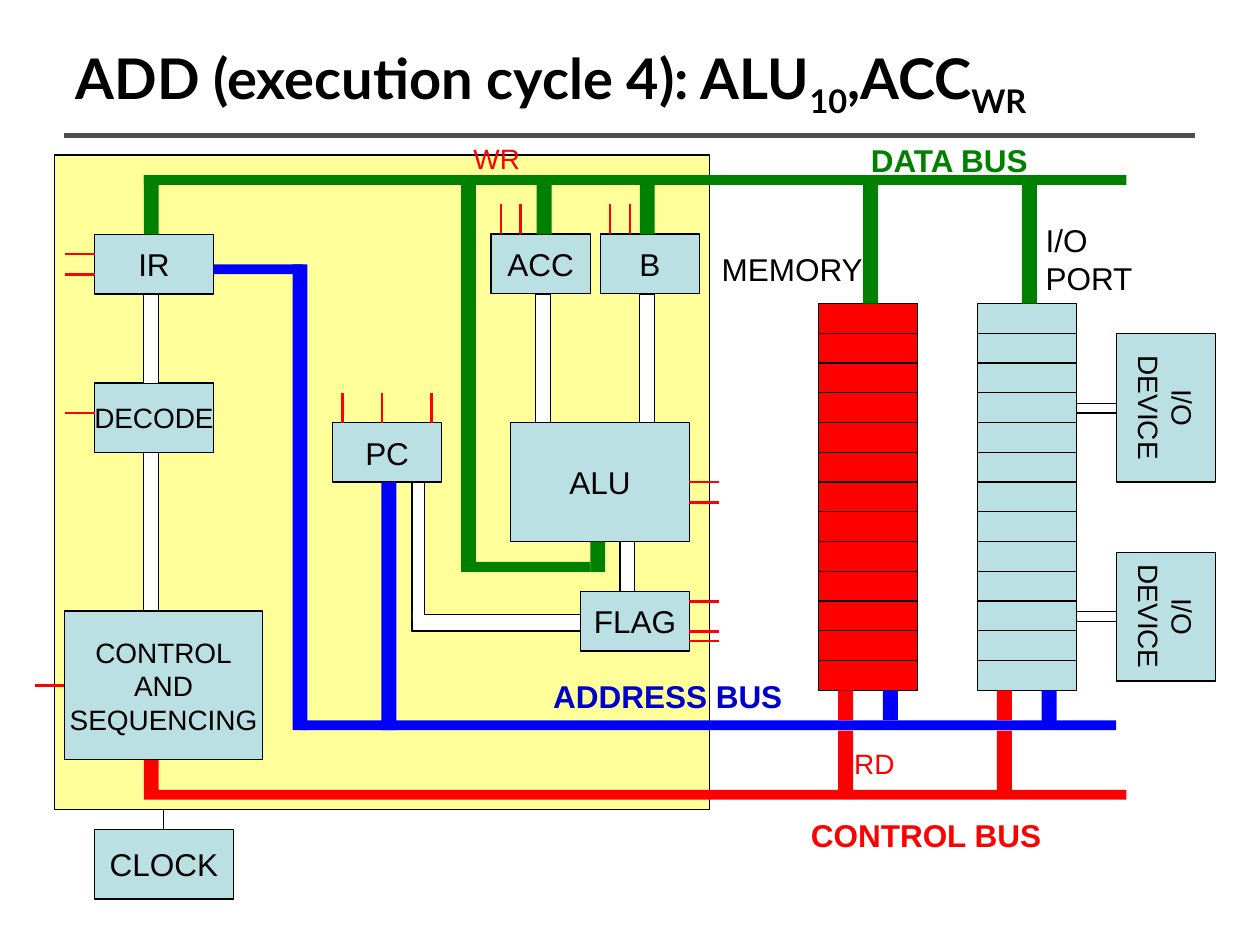
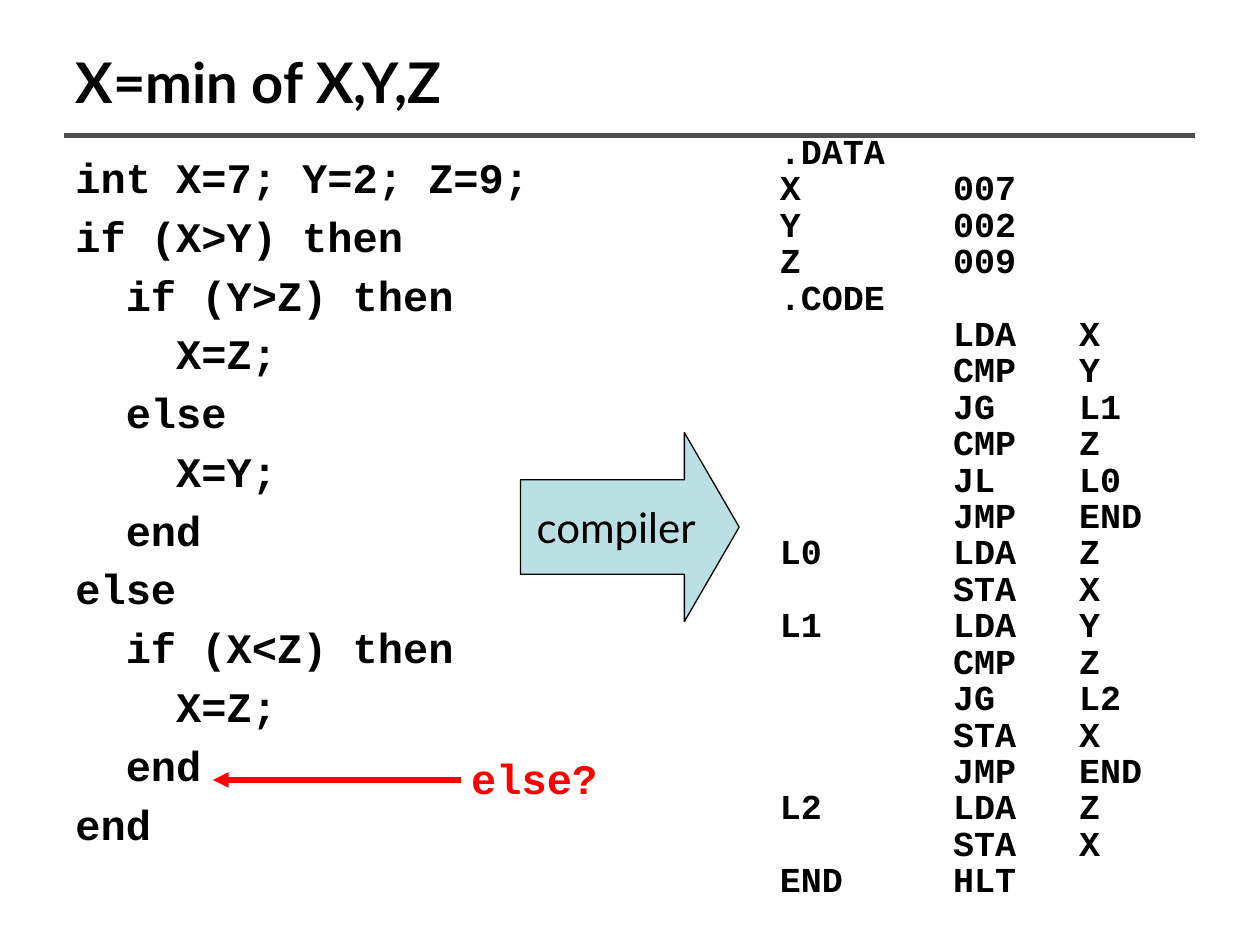
from lxml import etree
from pptx import Presentation
from pptx.dml.color import RGBColor
from pptx.enum import shapes, text
from pptx.oxml import ns
from pptx.util import Pt


class Theme:
    black = RGBColor(0x00, 0x00, 0x00)
    white = RGBColor(0xFF, 0xFF, 0xFF)
    rule = RGBColor(0x4D, 0x4D, 0x4D)
    panel = RGBColor(0xFF, 0xFF, 0x99)
    unit = RGBColor(0xBB, 0xE0, 0xE3)
    data = RGBColor(0x00, 0x80, 0x00)
    address = RGBColor(0x00, 0x00, 0xFF)
    address_label = RGBColor(0x00, 0x00, 0xCC)
    control = RGBColor(0xFF, 0x00, 0x00)
    heading_font, label_font, code_font = "Lato", "Arial", "Courier New"
    title_size, code_size, listing_size = 32, 24, 20
    label_size, small_size = 18, 16
    thin, pin, heavy = 0.75, 1.5, 3


RECT = shapes.MSO_SHAPE.RECTANGLE


def block(slide, box, fill, outline=None, label="", size=Theme.label_size,
          font=Theme.label_font, kind=RECT):
    shape = slide.shapes.add_shape(kind, *map(Pt, box))
    shape.shadow.inherit = False
    shape.fill.solid()
    shape.fill.fore_color.rgb = fill
    if outline is None:
        shape.line.fill.background()
    else:
        shape.line.color.rgb = outline
        shape.line.width = Pt(Theme.thin)
    if label:
        frame = shape.text_frame
        frame.text = label
        frame.word_wrap = False
        frame.vertical_anchor = text.MSO_ANCHOR.MIDDLE
        for paragraph in frame.paragraphs:
            paragraph.alignment = text.PP_ALIGN.CENTER
            paragraph.font.name = font
            paragraph.font.size = Pt(size)
            paragraph.font.color.rgb = Theme.black
    return shape


def stroke(slide, start, end, color, width):
    connector = slide.shapes.add_connector(
        shapes.MSO_CONNECTOR.STRAIGHT, *map(Pt, start + end))
    connector.line.color.rgb = color
    connector.line.width = Pt(width)
    etree.SubElement(connector._element.spPr, ns.qn("a:effectLst"))
    return connector


prs = Presentation()
prs.slide_width, prs.slide_height = Pt(720), Pt(540)

# Titles and rules; each title run is (wording, is subscript)
titles = [
    [("ADD (execution cycle 4): ALU", False), ("10", True),
     (",ACC", False), ("WR", True)],
    [("X=min of X,Y,Z", False)],
]
for title_runs in titles:
    slide = prs.slides.add_slide(prs.slide_layouts[5])
    stroke(slide, (36.8, 77.3), (683, 77.3), Theme.rule, Theme.heavy)
    title = slide.shapes.title
    title.left, title.top, title.width, title.height = map(Pt, (36, 21.6, 648, 49.7))
    frame = title.text_frame
    frame.auto_size = text.MSO_AUTO_SIZE.NONE
    frame.vertical_anchor = text.MSO_ANCHOR.MIDDLE
    heading = frame.paragraphs[0]
    heading.alignment = text.PP_ALIGN.LEFT
    heading.font.name = Theme.heading_font
    heading.font.size = Pt(Theme.title_size)
    heading.font.bold = True
    heading.font.color.rgb = Theme.black
    for wording, subscript in title_runs:
        run = heading.add_run()
        run.text = wording
        if subscript:
            run._r.get_or_add_rPr().set("baseline", "-25000")

cpu_slide, compiler_slide = prs.slides

# Slide 1: processor, memory and buses
block(cpu_slide, (31, 88.5, 374.5, 374.2), Theme.panel, Theme.black)

units = {}
for label, box, size in [
    ("IR", (54, 134, 68, 34), Theme.label_size),
    ("DECODE", (54, 218.8, 68, 39.7), Theme.small_size),
    ("CONTROL\nAND\nSEQUENCING", (36.8, 349.2, 113.4, 85), Theme.small_size),
    ("PC", (190, 241.5, 62.4, 34), Theme.label_size),
    ("ACC", (280.6, 133.8, 56.7, 34), Theme.label_size),
    ("B", (343.1, 133.8, 56.7, 34), Theme.label_size),
    ("ALU", (291.7, 241.5, 102.3, 68), Theme.label_size),
    ("FLAG", (331.7, 338, 62.3, 34), Theme.label_size),
    ("CLOCK", (54, 474, 79.3, 39.7), Theme.label_size),
]:
    units[label] = block(cpu_slide, box, Theme.unit, Theme.black, label, size)

for box in [(623.8, 204.6, 85, 56.7), (629.5, 324, 73.5, 56.7)]:
    device = block(cpu_slide, box, Theme.unit, Theme.black,
                   "I/O\nDEVICE", Theme.small_size)
    device.rotation = 90

# Memory and port columns, ruled into equal cells
CELLS, CELL, COLUMN_TOP, COLUMN_WIDTH = 13, 17, 173.5, 56.7
for left, fill in [(467.8, Theme.control), (558.5, Theme.unit)]:
    block(cpu_slide, (left, COLUMN_TOP, COLUMN_WIDTH, CELLS * CELL), fill, Theme.black)
    for cell in range(1, CELLS):
        y = COLUMN_TOP + cell * CELL
        stroke(cpu_slide, (left, y), (left + COLUMN_WIDTH, y), Theme.black, Theme.thin)

# Buses: uprights are (left, top, height), runs are (left, top, width)
UPRIGHT, RUN = 8.5, 5.7
buses = [
    (Theme.data,
     [(493.2, 100, 73.5), (584, 100, 73.5), (82.2, 100, 34), (306.7, 100, 34),
      (365.6, 100, 34), (337.4, 309.5, 17.3), (263.5, 105.5, 221.3)],
     [(82.2, 100, 561.5), (263.5, 321.1, 73.9)]),
    (Theme.address,
     [(218, 275.5, 141.7), (504.6, 394.5, 17), (595.3, 394.5, 22.5),
      (167.2, 151, 266.2)],
     [(172.8, 411.6, 465), (122, 151, 51)]),
    (Theme.control,
     [(479, 394.5, 17), (569.7, 394.5, 17), (479, 417.5, 34),
      (569.7, 417.5, 34), (82.2, 434.3, 17.2)],
     [(82.2, 451.3, 561.5)]),
]
for color, uprights, runs in buses:
    for left, top, height in uprights:
        block(cpu_slide, (left, top, UPRIGHT, height), color)
    for left, top, width in runs:
        block(cpu_slide, (left, top, width, RUN), color)

# White channels between units
for left, top, height in [(306, 168, 73.5), (365.6, 168, 73.5), (82.2, 168, 51),
                          (82.2, 258.5, 90.7), (354.3, 309.5, 28.5)]:
    block(cpu_slide, (left, top, UPRIGHT, height), Theme.white, Theme.black)
for top in (230.4, 349.4):
    block(cpu_slide, (615.2, top, 22.7, RUN), Theme.white, Theme.black)

# Elbow channel from PC to FLAG; the last block opens its corner
for box, edge in [((235.5, 275.5, 7.2, 85.2), Theme.black),
                  ((235.5, 351.3, 96.2, 9.4), Theme.black),
                  ((236, 349.2, 6.3, 5.7), None)]:
    block(cpu_slide, box, Theme.white, edge)

# Control pins by unit: side (0 top, 1 left, 3 right) and places along it
PIN_LENGTH = 17
for label, side, places in [
    ("IR", 1, (145.2, 156.7)),
    ("DECODE", 1, (236,)),
    ("CONTROL\nAND\nSEQUENCING", 1, (391.7,)),
    ("PC", 0, (195.6, 218.2, 246.7)),
    ("ACC", 0, (286.3, 297.5)),
    ("B", 0, (348.6, 360)),
    ("ALU", 3, (275.5, 287)),
    ("FLAG", 3, (343.6, 360.7, 366.4)),
]:
    unit = units[label]
    left, top = unit.left.pt, unit.top.pt
    right, middle = left + unit.width.pt, top + unit.height.pt / 2
    for place in places:
        start, end = {
            0: ((place, top), (place, top - PIN_LENGTH)),
            1: ((left, place), (left - PIN_LENGTH, place)),
            3: ((right, place), (right + PIN_LENGTH, place)),
        }[side]
        pin = stroke(cpu_slide, start, end, Theme.control, Theme.pin)
        if side != 0 and abs(place - middle) < 0.1:
            pin.begin_connect(unit, side)

clock_line = stroke(cpu_slide, (93.65, 474), (93.65, 463), Theme.black, Theme.thin)
clock_line.begin_connect(units["CLOCK"], 0)

for label, box, size, color, bold in [
    ("DATA BUS", (490.5, 77.2, 107, 29), Theme.label_size, Theme.data, True),
    ("CONTROL BUS", (456.3, 463, 146, 29), Theme.label_size, Theme.control, True),
    ("ADDRESS BUS", (309, 383.3, 145.5, 29), Theme.label_size,
     Theme.address_label, True),
    ("MEMORY", (405.3, 139.3, 96, 29), Theme.label_size, Theme.black, False),
    ("I/O\nPORT", (590.4, 123, 64.8, 50.4), Theme.label_size, Theme.black, False),
    ("RD", (481, 423.2, 37.5, 26.6), Theme.small_size, Theme.control, False),
    ("WR", (263.5, 77.2, 41, 26.6), Theme.small_size, Theme.control, False),
]:
    frame = cpu_slide.shapes.add_textbox(*map(Pt, box)).text_frame
    frame.text = label
    frame.word_wrap = False
    frame.auto_size = text.MSO_AUTO_SIZE.SHAPE_TO_FIT_TEXT
    for paragraph in frame.paragraphs:
        paragraph.font.name = Theme.label_font
        paragraph.font.size = Pt(size)
        paragraph.font.bold = bold
        paragraph.font.color.rgb = color

# Slide 2: source program, compiler and assembly listing
source = """int X=7; Y=2; Z=9;
if (X>Y) then
  if (Y>Z) then
    X=Z;
  else
    X=Y;
  end
else
  if (X<Z) then
    X=Z;
  end
end"""
assembly = "\n".join("\t".join(row) for row in [
    (".DATA",), ("X", "007"), ("Y", "002"), ("Z", "009"), (".CODE",),
    ("", "LDA", "X"), ("", "CMP", "Y"), ("", "JG", "L1"), ("", "CMP", "Z"),
    ("", "JL", "L0"), ("", "JMP", "END"), ("L0", "LDA", "Z"), ("", "STA", "X"),
    ("L1", "LDA", "Y"), ("", "CMP", "Z"), ("", "JG", "L2"), ("", "STA", "X"),
    ("", "JMP", "END"), ("L2", "LDA", "Z"), ("", "STA", "X"), ("END", "HLT"),
])
for code, box, size, color, spacing, before, tabs, wrap in [
    (source, (36, 83, 324, 430), Theme.code_size, Theme.black, 1, 4.8, (), True),
    ("else?", (262.2, 426.7, 86.4, 36), Theme.code_size, Theme.control, 1, 0, (),
     False),
    (assembly, (438.5, 77, 239, 430.5), Theme.listing_size, Theme.black, 0.7, 4,
     (99, 171), True),
]:
    frame = compiler_slide.shapes.add_textbox(*map(Pt, box)).text_frame
    frame.text = code
    frame.word_wrap = wrap
    for number, paragraph in enumerate(frame.paragraphs):
        if tabs:
            stops = etree.SubElement(paragraph._p.get_or_add_pPr(), ns.qn("a:tabLst"))
            for stop in tabs:
                etree.SubElement(stops, ns.qn("a:tab"), pos=str(Pt(stop)), algn="l")
        paragraph.line_spacing = spacing
        paragraph.space_before = Pt(before if number else 0)
        paragraph.font.name = Theme.code_font
        paragraph.font.size = Pt(size)
        paragraph.font.bold = True
        paragraph.font.color.rgb = color

question_arrow = stroke(compiler_slide, (263.5, 445.7), (121.7, 445.7),
                        Theme.control, Theme.heavy)
etree.SubElement(question_arrow.line._get_or_add_ln(), ns.qn("a:tailEnd"),
                 type="triangle")

compiler = block(compiler_slide, (297.4, 247.2, 125, 108), Theme.unit, Theme.black,
                 "compiler", Theme.code_size, Theme.heading_font,
                 shapes.MSO_SHAPE.RIGHT_ARROW)
compiler.adjustments[0] = 0.5
compiler.adjustments[1] = 0.29

prs.save("out.pptx")
